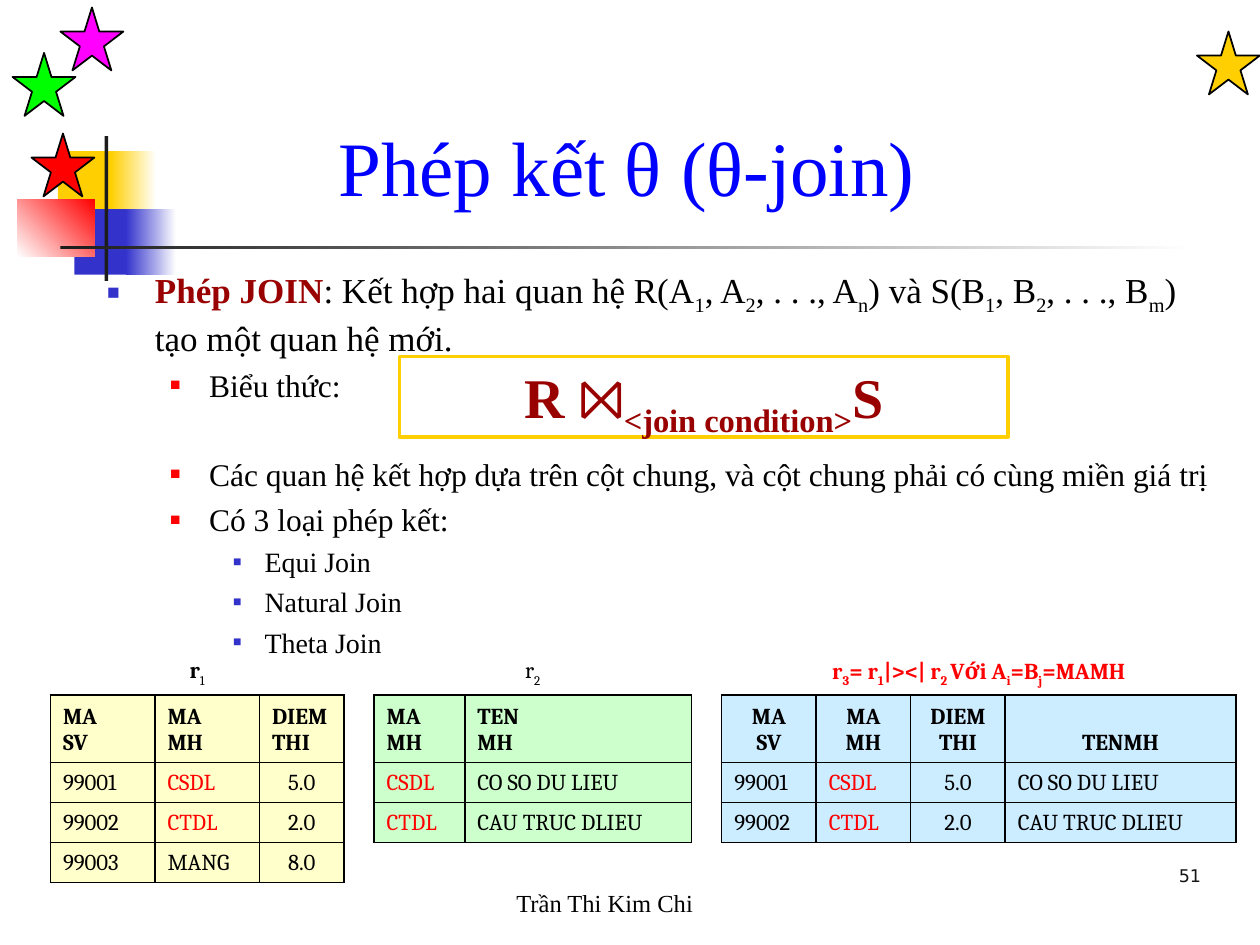
from lxml.etree import SubElement
from pptx import Presentation
from pptx.dml.color import RGBColor
from pptx.enum.shapes import MSO_SHAPE as Preset
from pptx.enum.text import MSO_ANCHOR as Anchor, MSO_AUTO_SIZE as AutoSize, PP_ALIGN as Align
from pptx.oxml.ns import qn
from pptx.util import Inches, Pt

SERIF, TABLE_FONT = "Times New Roman", "Cambria"
BLACK, RED, MAROON, GOLD, BLUE = "000000", "FF0000", "990000", "FFCF01", "3333CC"
NO_STYLE = "{2D5ABB26-0587-4C30-8999-92F81FD0307C}"

DECORATION = [
    (0.46, 1.2, 0.48, 0.52, [GOLD], 0),
    (0.88, 1.2, 0.36, 0.52, [GOLD, "FFFFFF"], 0),
    (0.59, 1.66, 0.46, 0.52, [BLUE], 0),
    (1, 1.66, 0.4, 0.52, [BLUE, "FFFFFF"], 0),
    (0.14, 1.58, 0.61, 0.46, ["FFFFFF", RED], 45),
    (0.83, 1.08, 0.03, 1.15, ["1C1C1C"], 0),
    (0.48, 1.95, 9, 0.03, ["1C1C1C", "FFFFFF"], 0),
]
STARS = [(9.5, 0.25, GOLD), (0.25, 1.06, RED), (0.1, 0.42, "00FF00"), (0.48, 0.06, "FF00FF")]

# level: left, indent, bullet colour, bullet percent, text size, space before
LEVELS = [
    (0.38, -0.38, BLUE, 60, 20, 0),
    (0.81, -0.31, RED, 55, 18, 4.3),
    (1.25, -0.25, BLUE, 50, 16, 3.8),
]
DEFINITION = [": Kết hợp hai quan hệ R(A", "1", ", A", "2", ", . . ., A", "n", ") và S(B", "1",
              ", B", "2", ", . . ., B", "m", ") tạo một quan hệ mới."]
POINTS = [
    (1, "Biểu thức:"),
    (1, "Các quan hệ kết hợp dựa trên cột chung, và cột chung phải có cùng miền giá trị"),
    (1, "Có 3 loại phép kết:"),
    (2, "Equi Join"),
    (2, "Natural Join"),
    (2, "Theta Join"),
]
FORMULA_GAP = 29.4

COLUMNS = [0.83, 0.83, 0.67, 0.23, 0.72, 1.8, 0.23, 0.75, 0.75, 0.75, 1.83]
ROWS = [0.33, 0.52, 0.31, 0.31, 0.31]
RELATIONS = [
    (0, "FFFFCC", Align.JUSTIFY, ["MA\nSV", "MA\nMH", "DIEM\nTHI"],
     [["99001", "CSDL", "5.0"], ["99002", "CTDL", "2.0"], ["99003", "MANG", "8.0"]]),
    (4, "CCFFCC", Align.JUSTIFY, ["MA\nMH", "TEN\nMH"],
     [["CSDL", "CO SO DU LIEU"], ["CTDL", "CAU TRUC DLIEU"]]),
    (7, "CCECFF", Align.CENTER, ["MA\nSV", "MA\nMH", "DIEM\nTHI", "TENMH"],
     [["99001", "CSDL", "5.0", "CO SO DU LIEU"], ["99002", "CTDL", "2.0", "CAU TRUC DLIEU"]]),
]
CAPTIONS = [
    (["r", "1"], BLACK, [True, False], -30),
    (["r", "2"], BLACK, [False, False], -30),
    (["r", "3", "= r", "1", "|><| r", "2 ", "Với A", "i", "=B", "j", "=MAMH"], RED, [True] * 11, -25),
]
JOIN_KEYS = {"CSDL", "CTDL"}


def rgb(value):
    """Turn a hex string into a colour."""
    return RGBColor.from_string(value)


def style(font, size, color, name=SERIF, bold=False):
    """Set size, colour, face and weight of a font."""
    font.size, font.name, font.bold = Pt(size), name, bold
    font.color.rgb = rgb(color)


def add_spans(para, pieces, size, color, name=SERIF, bold=False, drop=-25):
    """Add runs, every second one as a subscript."""
    for i, text in enumerate(pieces):
        span = para.add_run()
        span.text = text
        style(span.font, size, color, name, bold[i] if isinstance(bold, list) else bold)
        if i % 2:
            span._r.get_or_add_rPr().set("baseline", str(drop * 1000))


def place(shape, left, top, width, height):
    """Move and size a shape in inches."""
    shape.left, shape.top = Inches(left), Inches(top)
    shape.width, shape.height = Inches(width), Inches(height)


def add_figure(page, preset, left, top, width, height, colors, angle=0, line=None, weight=1):
    """Add a preset shape with a plain or gradient fill."""
    shape = page.shapes.add_shape(preset, Inches(left), Inches(top), Inches(width), Inches(height))
    shape.shadow.inherit = False
    if len(colors) == 1:
        shape.fill.solid()
        shape.fill.fore_color.rgb = rgb(colors[0])
    else:
        shape.fill.gradient()
        shape.fill.gradient_angle = angle
        for stop, color in zip(shape.fill.gradient_stops, colors):
            stop.color.rgb = rgb(color)
    if line:
        shape.line.color.rgb = rgb(line)
        shape.line.width = Pt(weight)
    else:
        shape.line.fill.background()
    return shape


def add_label(page, left, top, width, height, text, size, color, name, align):
    """Add a one-line text box that sits on its bottom edge."""
    box = page.shapes.add_textbox(Inches(left), Inches(top), Inches(width), Inches(height))
    box.text_frame.word_wrap = True
    box.text_frame.vertical_anchor = Anchor.BOTTOM
    para = box.text_frame.paragraphs[0]
    para.text, para.alignment = text, align
    style(para.font, size, color, name)


def fill_title(title):
    """Write the slide title."""
    place(title, 0.5, 0.58, 8.95, 1.15)
    frame = title.text_frame
    frame.auto_size, frame.vertical_anchor = AutoSize.NONE, Anchor.BOTTOM
    para = frame.paragraphs[0]
    para.text, para.alignment = "Phép kết θ (θ-join)", Align.CENTER
    style(para.font, 44, "0000FF")


def set_bullet(para, level):
    """Give a paragraph the bullet, indents and spacing of its level."""
    left, indent, color, percent, size, before = LEVELS[level]
    para.level = level
    props = para._p.get_or_add_pPr()
    props.set("marL", str(Inches(left)))
    props.set("indent", str(Inches(indent)))
    SubElement(SubElement(props, qn("a:buClr")), qn("a:srgbClr")).set("val", color)
    SubElement(props, qn("a:buSzPct")).set("val", str(percent * 1000))
    SubElement(props, qn("a:buChar")).set("char", "■")
    para.space_before = Pt(before)
    style(para.font, size, BLACK)


def fill_body(body):
    """Write the bulleted list."""
    place(body, 0.75, 2.08, 9, 5.75)
    frame = body.text_frame
    frame.auto_size, frame.vertical_anchor = AutoSize.NONE, Anchor.TOP
    para = frame.paragraphs[0]
    set_bullet(para, 0)
    add_spans(para, ["Phép JOIN"], 20, MAROON, bold=True)
    add_spans(para, DEFINITION, 20, BLACK)
    for level, text in POINTS:
        para = frame.add_paragraph()
        para.text = text
        set_bullet(para, level)
    frame.paragraphs[2].space_before = Pt(FORMULA_GAP)


def add_formula(page):
    """Add the framed join expression."""
    box = add_figure(page, Preset.RECTANGLE, 3.17, 2.83, 4.83, 0.64, ["FFFFFF"], line=GOLD, weight=2)
    box.text_frame.word_wrap = True
    box.text_frame.vertical_anchor = Anchor.TOP
    para = box.text_frame.paragraphs[0]
    para.alignment = Align.CENTER
    add_spans(para, ["R ⨝", "<join condition>", "S"], 32, MAROON, bold=True)


def fill_cell(cell, text, fill, align, bold):
    """Write a bordered, filled table cell."""
    props = cell._tc.get_or_add_tcPr()
    for side in ("lnL", "lnR", "lnT", "lnB"):
        line = SubElement(props, qn(f"a:{side}"), w=str(Pt(1)))
        SubElement(SubElement(line, qn("a:solidFill")), qn("a:srgbClr")).set("val", BLACK)
    cell.fill.solid()
    cell.fill.fore_color.rgb = rgb(fill)
    cell.text = text
    for para in cell.text_frame.paragraphs:
        para.alignment = align
        style(para.font, 13, RED if text in JOIN_KEYS else BLACK, TABLE_FONT, bold)


def add_relations(page):
    """Add the three relations as one table."""
    frame = page.shapes.add_table(len(ROWS), len(COLUMNS), Inches(0.4), Inches(5.16),
                                  Inches(sum(COLUMNS)), Inches(sum(ROWS)))
    table = frame.table
    table.first_row = table.horz_banding = False
    table._tbl.tblPr.find(qn("a:tableStyleId")).text = NO_STYLE
    for column, width in zip(table.columns, COLUMNS):
        column.width = Inches(width)
    for row, height in zip(table.rows, ROWS):
        row.height = Inches(height)
    for cell in table.iter_cells():
        cell.vertical_anchor = Anchor.BOTTOM
        cell.fill.background()
    for (start, fill, align, header, records), (pieces, color, bold, drop) in zip(RELATIONS, CAPTIONS):
        caption = table.cell(0, start)
        caption.merge(table.cell(0, start + len(header) - 1))
        para = caption.text_frame.paragraphs[0]
        para.alignment = Align.CENTER
        add_spans(para, pieces, 13, color, TABLE_FONT, bold, drop)
        for i, record in enumerate([header] + records):
            for j, text in enumerate(record):
                centred = Align.CENTER if "." in text else Align.JUSTIFY
                fill_cell(table.cell(i + 1, start + j), text, fill, centred if i else align, i == 0)
    for cell in table.iter_cells():
        if not cell.text:
            SubElement(cell.text_frame.paragraphs[0]._p, qn("a:endParaRPr"), sz="1300")


def main():
    """Build the slide and save it."""
    deck = Presentation()
    deck.slide_width, deck.slide_height = Inches(10), Inches(7.5)
    page = deck.slides.add_slide(deck.slide_layouts[1])
    for left, top, width, height, colors, angle in DECORATION:
        add_figure(page, Preset.RECTANGLE, left, top, width, height, colors, angle)
    for left, top, color in STARS:
        add_figure(page, Preset.STAR_5_POINT, left, top, 0.5, 0.5, [color], line=BLACK)
    fill_title(page.shapes.title)
    add_label(page, 9.13, 6.68, 0.5, 0.4, "51", 10, "151515", "DejaVu Sans", Align.RIGHT)
    add_relations(page)
    add_label(page, 4, 6.83, 3.17, 0.5, "Trần Thi Kim Chi", 14, BLACK, SERIF, Align.LEFT)
    fill_body(page.placeholders[1])
    add_formula(page)
    deck.save("out.pptx")


if __name__ == "__main__":
    main()
